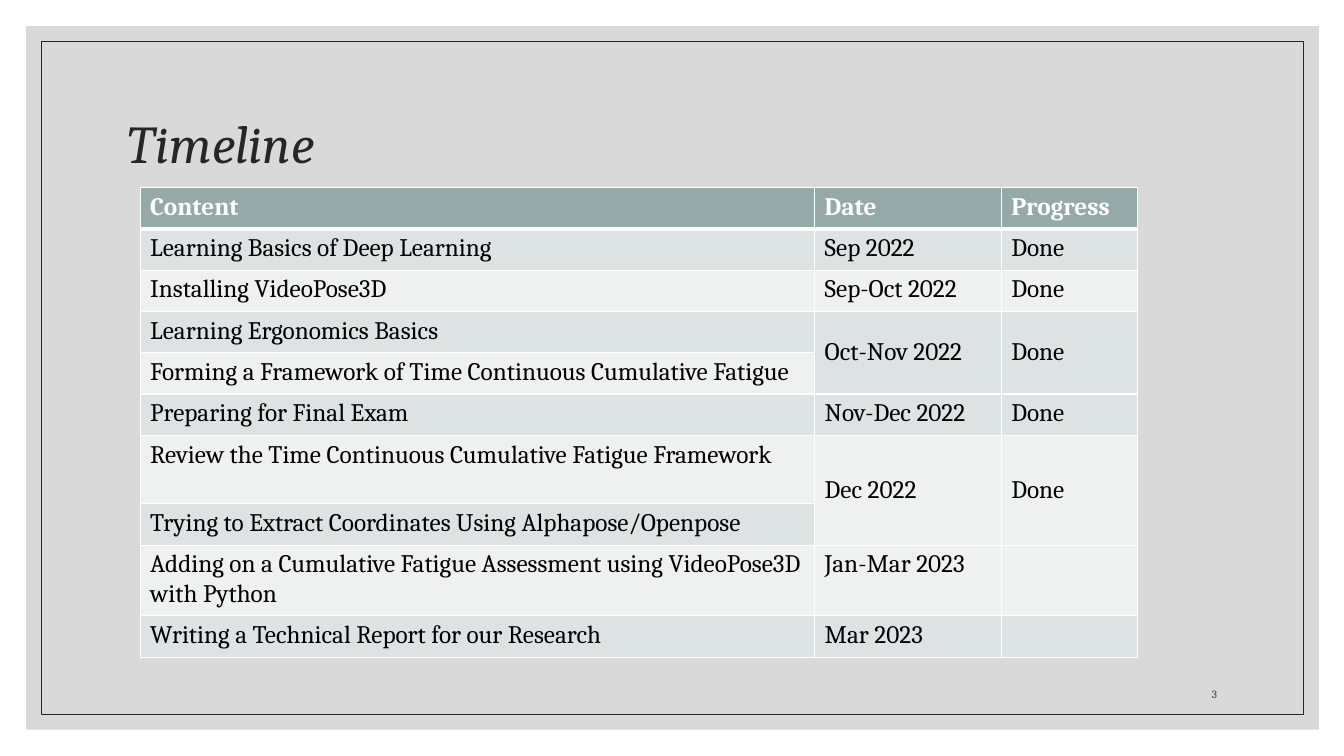
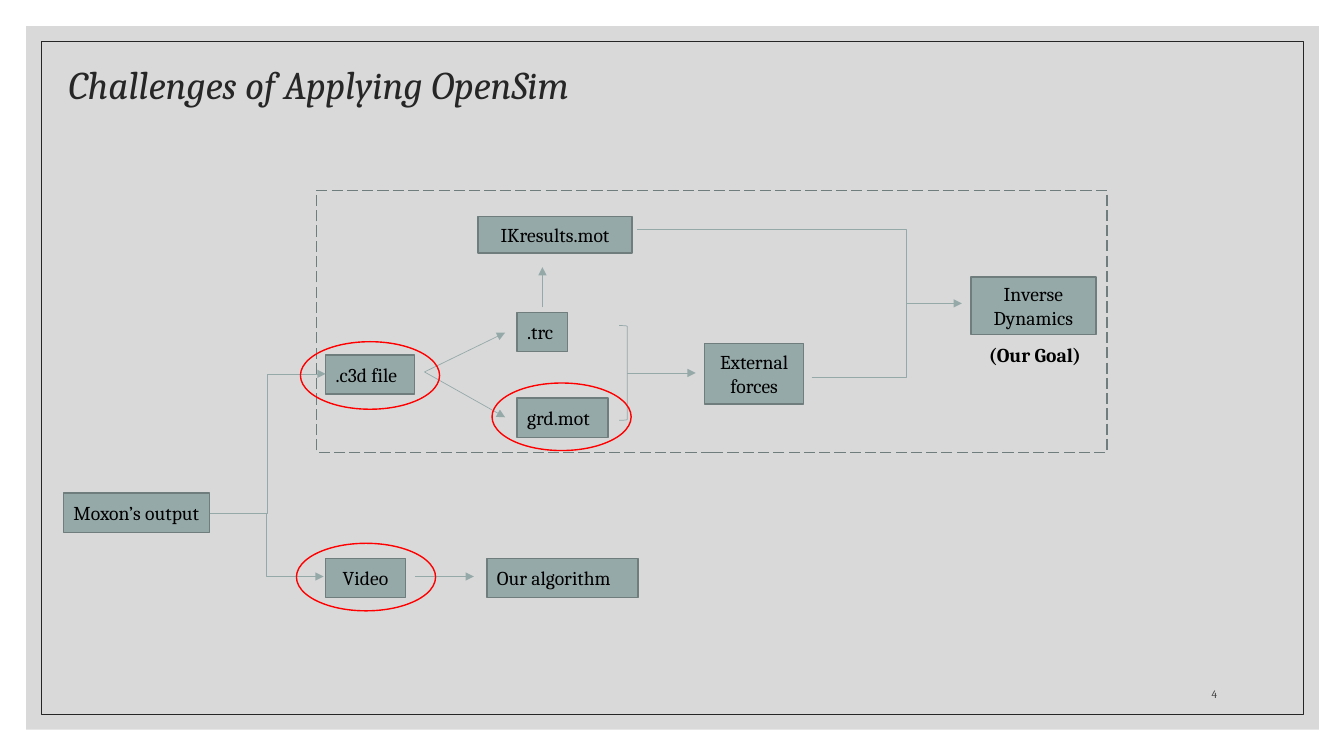
from lxml import etree
from pptx import Presentation
from pptx.dml.color import RGBColor
from pptx.enum.dml import MSO_LINE
from pptx.enum.shapes import MSO_CONNECTOR, MSO_SHAPE
from pptx.enum.text import MSO_ANCHOR, PP_ALIGN
from pptx.oxml.ns import qn
from pptx.util import Inches, Pt

RECT, OVAL, BRACKET = MSO_SHAPE.RECTANGLE, MSO_SHAPE.OVAL, MSO_SHAPE.RIGHT_BRACKET
STRAIGHT, ELBOW = MSO_CONNECTOR.STRAIGHT, MSO_CONNECTOR.ELBOW
LEFT, CENTER, RIGHT = PP_ALIGN.LEFT, PP_ALIGN.CENTER, PP_ALIGN.RIGHT
TOP, MIDDLE, BOTTOM = MSO_ANCHOR.TOP, MSO_ANCHOR.MIDDLE, MSO_ANCHOR.BOTTOM
LONG_DASH = MSO_LINE.LONG_DASH

PAPER, INK, NUMBER = "D9D9D9", "262626", "404040"
SAGE, SAGE_DARK = "96A9A9", "6F7D7D"
BANDS = ("EFF1F1", "DDE2E2")
WHITE, BLACK, RED = "FFFFFF", "000000", "FF0000"

TIMELINE = [
    ("Content", "Date", "Progress"),
    ("Learning Basics of Deep Learning", "Sep 2022", "Done"),
    ("Installing VideoPose3D", "Sep-Oct 2022", "Done"),
    ("Learning Ergonomics Basics", "Oct-Nov 2022", "Done"),
    ("Forming a Framework of Time Continuous Cumulative Fatigue", None, None),
    ("Preparing for Final Exam", "Nov-Dec 2022", "Done"),
    ("Review the Time Continuous Cumulative Fatigue Framework", "Dec 2022", "Done"),
    ("Trying to Extract Coordinates Using Alphapose/Openpose", None, None),
    ("Adding on a Cumulative Fatigue Assessment using VideoPose3D with Python",
     "Jan-Mar 2023", ""),
    ("Writing a Technical Report for our Research", "Mar 2023", ""),
]
TALL_ROWS = (6, 8)

STEPS = [
    ("Moxon’s output", (0.63, 4.89, 1.45, 0.39), LEFT),
    (".c3d file", (3.23, 3.52, 0.88, 0.39), LEFT),
    (".trc", (5.13, 3.1, 0.5, 0.39), LEFT),
    ("grd.mot", (5.13, 3.95, 0.9, 0.39), LEFT),
    ("External forces", (6.99, 3.41, 0.98, 0.6), CENTER),
    ("Inverse Dynamics", (9.63, 2.75, 1.24, 0.57), CENTER),
    ("IKresults.mot", (4.74, 2.15, 1.53, 0.36), CENTER),
    ("Video", (3.23, 5.54, 0.79, 0.39), CENTER),
    ("Our algorithm", (4.83, 5.54, 1.5, 0.39), LEFT),
]
ARROWS = [
    ((4.21, 3.69), (5.01, 3.3)),
    ((4.21, 3.69), (5.01, 4.14)),
    ((6.22, 3.7), (6.9, 3.7)),
    ((5.38, 3.05), (5.38, 2.65)),
    ((4.12, 5.72), (4.7, 5.72)),
]
BRANCHES = [
    ((6.32, 2.28), (9.54, 3.01), 0.83, 0.75, True),
    ((8.05, 3.75), (8.99, 3.01), 1, 0.75, False),
    ((2.08, 5.09), (3.23, 3.71), 0.5, 0.5, True),
    ((2.08, 5.09), (3.21, 5.72), 0.5, 0.5, True),
]
HIGHLIGHTS = [(2.98, 3.39), (2.94, 5.39), (4.88, 3.8)]


def color(value):
    return RGBColor.from_string(value)


class Deck:
    """Holds the shared style and the slide being built."""

    def __init__(self):
        self.file = Presentation()
        self.file.slide_width, self.file.slide_height = Inches(13.33), Inches(7.5)

    def start(self, title, at, size, number):
        self.slide = self.file.slides.add_slide(self.file.slide_layouts[6])
        self.shape(RECT, (0.26, 0.26, 12.82, 6.98), fill=PAPER)
        self.shape(RECT, (0.41, 0.41, 12.52, 6.68), line=INK, width=0.5)
        heading = self.text(title, at, INK, anchor=MIDDLE, size=Pt(size), italic=True)
        heading.line_spacing = 0.9
        self.text(str(number), (11.25, 6.6, 0.92, 0.4), NUMBER, RIGHT, BOTTOM, size=Pt(8))

    def fill_frame(self, frame, words, ink, align=LEFT, **font_format):
        frame.word_wrap = True
        paragraph = frame.paragraphs[0]
        paragraph.alignment = align
        run = paragraph.add_run()
        run.text = words
        run.font.color.rgb = color(ink)
        for name, value in {"name": "Cambria", **font_format}.items():
            setattr(run.font, name, value)
        return paragraph

    def text(self, words, at, ink, align=LEFT, anchor=TOP, **font_format):
        frame = self.slide.shapes.add_textbox(*map(Inches, at)).text_frame
        frame.vertical_anchor = anchor
        return self.fill_frame(frame, words, ink, align, **font_format)

    def shape(self, kind, at, fill=None, line=None, width=1, dash=None):
        shape = self.slide.shapes.add_shape(kind, *map(Inches, at))
        shape.shadow.inherit = False
        for part, value in ((shape.fill, fill), (shape.line.fill, line)):
            if value:
                part.solid()
                part.fore_color.rgb = color(value)
            else:
                part.background()
        if line:
            shape.line.width = Pt(width)
            shape.line.dash_style = dash
        return shape

    def step(self, words, at, align):
        frame = self.shape(RECT, at, SAGE, SAGE_DARK).text_frame
        frame.vertical_anchor = MIDDLE
        self.fill_frame(frame, words, BLACK, align, size=Pt(14))

    def connector(self, start, end, bend=None, width=0.5, arrow=True):
        kind = STRAIGHT if bend is None else ELBOW
        link = self.slide.shapes.add_connector(kind, *map(Inches, start + end))
        link.line.color.rgb = color(SAGE)
        link.line.width = Pt(width)
        properties = link._element.spPr
        if bend is not None:
            guides = properties.find(qn("a:prstGeom")).find(qn("a:avLst"))
            etree.SubElement(guides, qn("a:gd"), name="adj1",
                             fmla=f"val {round(bend * 100000)}")
        if arrow:
            etree.SubElement(properties.find(qn("a:ln")), qn("a:tailEnd"), type="triangle")
        etree.SubElement(properties, qn("a:effectLst"))

    def borders(self, cell, widths):
        properties = cell._tc.get_or_add_tcPr()
        for side, width in widths.items():
            border = etree.SubElement(properties, qn(f"a:ln{side}"), w=str(Pt(width)))
            paint = etree.SubElement(border, qn("a:solidFill"))
            etree.SubElement(paint, qn("a:srgbClr"), val=WHITE)

    def table(self, rows, at, widths, heights):
        box = (*at, sum(widths), sum(heights))
        grid = self.slide.shapes.add_table(len(rows), len(widths), *map(Inches, box)).table
        for column, width in zip(grid.columns, widths):
            column.width = Inches(width)
        for r, (row, height) in enumerate(zip(rows, heights)):
            grid.rows[r].height = Inches(height)
            header = r == 0
            for c, words in enumerate(row):
                cell = grid.cell(r, c)
                self.borders(cell, {"L": 1, "R": 1, "T": 3 if r == 1 else 1,
                                    "B": 3 if header else 1})
                cell.fill.solid()
                cell.fill.fore_color.rgb = color(SAGE if header else BANDS[r % 2])
                if words is None:
                    above = grid.cell(r - 1, c)
                    above.merge(cell)
                    above.vertical_anchor = MIDDLE
                elif words:
                    self.fill_frame(cell.text_frame, words, WHITE if header else BLACK,
                                    size=Pt(18), bold=header)


def timeline(deck):
    deck.start("Timeline", (1.17, 0.7, 11, 1.5), 38, 3)
    heights = [0.68 if r in TALL_ROWS else 0.41 for r in range(len(TIMELINE))]
    deck.table(TIMELINE, (1.39, 1.86), (6.69, 1.85, 1.35), heights)


def challenges(deck):
    deck.start("Challenges of Applying OpenSim", (0.58, 0.53, 10.67, 0.67), 28, 4)
    deck.shape(RECT, (3.14, 1.89, 7.84, 2.6), line=SAGE_DARK, dash=LONG_DASH)
    for step in STEPS:
        deck.step(*step)
    deck.text("(Our Goal)", (9.62, 3.35, 1.29, 0.34), BLACK, CENTER, size=Pt(14), bold=True)
    deck.shape(BRACKET, (6.14, 3.23, 0.08, 0.94), line=SAGE, width=0.5)
    for link in ARROWS + BRANCHES:
        deck.connector(*link)
    for corner in HIGHLIGHTS:
        deck.shape(OVAL, (*corner, 1.38, 0.67), line=RED)


def main():
    deck = Deck()
    timeline(deck)
    challenges(deck)
    deck.file.save("out.pptx")


if __name__ == "__main__":
    main()
